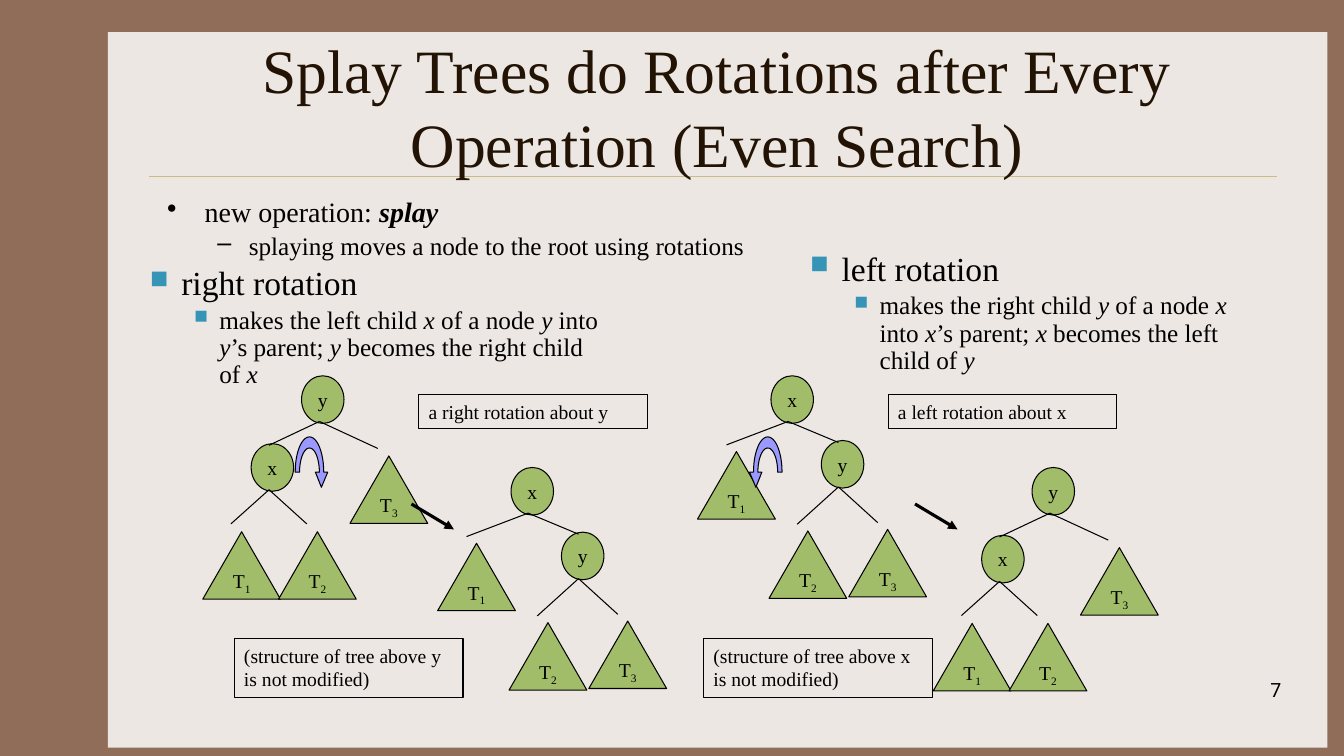
from math import cos, pi, sin

from lxml.etree import SubElement
from pptx import Presentation
from pptx.dml.color import RGBColor
from pptx.enum.shapes import MSO_CONNECTOR, MSO_SHAPE
from pptx.enum.text import MSO_ANCHOR, PP_ALIGN
from pptx.oxml.ns import qn
from pptx.util import Cm, Pt

SERIF = "Times New Roman"
BLACK, GREEN, BLUE, TEAL = "000000", "A1BD69", "9999FF", "3694B6"

# Tree parts in cm from the top left of the root: labels, then branches.
LEFT_HEAVY = {
    "nodes": [("y", 0, 0), ("x", -1.27, 1.71)],
    "subtrees": [("1", -2.49, 3.93), ("2", -0.58, 3.93), ("3", 1.22, 2.02)],
    "forks": [((0.45, 1.15), (-0.82, 1.75), (1.92, 1.83)),
              ((-0.82, 2.87), (-1.78, 3.73), (0.13, 3.73))],
}
RIGHT_HEAVY = {
    "nodes": [("x", 0, 0), ("y", 1.27, 1.63)],
    "subtrees": [("1", -1.85, 1.91), ("2", -0.05, 3.91), ("3", 1.96, 3.87)],
    "forks": [((0.43, 1.15), (-1.12, 1.74), (1.7, 1.68)),
              ((1.7, 2.8), (0.66, 3.74), (2.69, 3.7))],
}


def color(hex_string):
    return RGBColor.from_string(hex_string)


def style_font(paragraph, size, name=SERIF, hex_string=BLACK):
    paragraph.font.size = Pt(size)
    paragraph.font.name = name
    paragraph.font.color.rgb = color(hex_string)


def add_text(slide, left, top, width, height):
    text_frame = slide.shapes.add_textbox(Cm(left), Cm(top), Cm(width), Cm(height)).text_frame
    text_frame.word_wrap = True
    return text_frame


def add_line(slide, start, end, width=0.75, hex_string=BLACK):
    line = slide.shapes.add_connector(
        MSO_CONNECTOR.STRAIGHT, *(Cm(value) for value in (*start, *end)))
    line.line.width = Pt(width)
    line.line.color.rgb = color(hex_string)
    SubElement(line._element.spPr, qn("a:effectLst"))
    return line


def paint(shape, fill):
    shape.shadow.inherit = False
    if fill:
        shape.fill.solid()
        shape.fill.fore_color.rgb = color(fill)
    else:
        shape.fill.background()
    shape.line.color.rgb = color(BLACK)
    shape.line.width = Pt(0.75)


def add_shape(slide, kind, left, top, width, height, fill=None):
    shape = slide.shapes.add_shape(kind, Cm(left), Cm(top), Cm(width), Cm(height))
    paint(shape, fill)
    return shape


def add_bullet(paragraph, text, size, character, margin, indent, level=0,
               spacing=None, bullet_color=None, bold=False):
    """Fill a bulleted paragraph; words between asterisks become italic."""
    style_font(paragraph, size)
    paragraph.level = level
    paragraph.space_before = Pt(size * 0.2)
    if spacing:
        paragraph.line_spacing = spacing
    properties = paragraph._p.get_or_add_pPr()
    properties.set("marL", str(Cm(margin)))
    properties.set("indent", str(-Cm(indent)))
    bullet_parts = []
    if bullet_color:
        bullet = SubElement(properties, qn("a:buClr"))
        SubElement(bullet, qn("a:srgbClr"), val=bullet_color)
        bullet_parts += [bullet, SubElement(properties, qn("a:buSzPct"), val="75000")]
    bullet_parts.append(SubElement(properties, qn("a:buChar"), char=character))
    default_font = properties.find(qn("a:defRPr"))
    for part in bullet_parts:
        default_font.addprevious(part)
    for index, words in enumerate(text.split("*")):
        if words:
            run = paragraph.add_run()
            run.text = words
            if index % 2:
                run.font.italic = True
                run.font.bold = bold or None


def add_header(slide):
    panel = add_shape(slide, MSO_SHAPE.RECTANGLE, 2.72, 0.81, 30.73, 18.03, "EDE7E3")
    panel.line.fill.background()
    add_line(slide, (3.76, 4.45), (32.18, 4.45), 0.25, "CBBD83")
    title = add_text(slide, 3.96, 1.07, 28.22, 3.18)
    title.vertical_anchor = MSO_ANCHOR.MIDDLE
    paragraph = title.paragraphs[0]
    paragraph.text = "Splay Trees do Rotations after Every Operation (Even Search)"
    paragraph.alignment = PP_ALIGN.CENTER
    style_font(paragraph, 44, hex_string="221304")


def add_introduction(slide, left, top, width, height):
    text_frame = add_text(slide, left, top, width, height)
    add_bullet(text_frame.paragraphs[0], "new operation: *splay*", 20, "•",
               0.95, 0.95, spacing=0.9, bold=True)
    add_bullet(text_frame.add_paragraph(), "splaying moves a node to the root using rotations",
               18, "–", 2.06, 0.79, 1, 0.9)


def add_definition(slide, left, top, heading, text):
    text_frame = add_text(slide, left, top, 12.07, 3.38)
    add_bullet(text_frame.paragraphs[0], heading, 24, "■", 0.79, 0.79, bullet_color=TEAL)
    add_bullet(text_frame.add_paragraph(), text, 18, "■", 1.75, 0.64, 1, 0.9, TEAL)


def add_label(shape, letter, subscript=""):
    text_frame = shape.text_frame
    text_frame.word_wrap = False
    text_frame.vertical_anchor = MSO_ANCHOR.MIDDLE
    paragraph = text_frame.paragraphs[0]
    paragraph.alignment = PP_ALIGN.CENTER
    style_font(paragraph, 14)
    paragraph.add_run().text = letter
    if subscript:
        run = paragraph.add_run()
        run.text = subscript
        run._r.get_or_add_rPr().set("baseline", "-25000")


def add_tree(slide, left, top, tree):
    for letter, x, y in tree["nodes"]:
        add_label(add_shape(slide, MSO_SHAPE.OVAL, left + x, top + y, 1.07, 1.2, GREEN), letter)
    for number, x, y in tree["subtrees"]:
        triangle = add_shape(slide, MSO_SHAPE.ISOSCELES_TRIANGLE,
                             left + x, top + y, 1.96, 1.7, GREEN)
        add_label(triangle, "T", number)
    for (x, y), *ends in tree["forks"]:
        for end_x, end_y in ends:
            add_line(slide, (left + x, top + y), (left + end_x, top + end_y))


def add_turn_arrow(slide, center, base, direction):
    """Arch whose head points down on the right (1) or on the left (-1)."""
    angles = [pi * step / 24 for step in range(25)]
    inner = [(0.25 * cos(angle), -0.61 * sin(angle)) for angle in angles]
    outer = [(-0.36 * cos(angle), -0.89 * sin(angle)) for angle in angles]
    head = [(0.46, 0), (0.3, 0.38), (0.15, 0)]
    points = [(Cm(center + direction * x), Cm(base + y)) for x, y in inner + outer + head]
    builder = slide.shapes.build_freeform(*points[0])
    builder.add_line_segments(points[1:], close=True)
    paint(builder.convert_to_shape(), BLUE)


def add_note(slide, left, top, height, text):
    box = add_shape(slide, MSO_SHAPE.RECTANGLE, left, top, 5.77, height)
    box.text_frame.vertical_anchor = MSO_ANCHOR.TOP
    paragraph = box.text_frame.paragraphs[0]
    paragraph.text = text
    paragraph.alignment = PP_ALIGN.LEFT
    style_font(paragraph, 14)


def add_rotation(slide, left, top, before, after, after_x, arrow_x, turn, side, pivot):
    """Show a tree before and after a rotation, with its notes."""
    add_tree(slide, left + 2.49, top, before)
    add_tree(slide, left + after_x, top + 2.31, after)
    add_turn_arrow(slide, left + turn[0], top + 2.43, turn[1])
    arrow = add_line(slide, (left + arrow_x, top + 3.23), (left + arrow_x + 1.07, top + 3.87), 2.25)
    SubElement(arrow.line._get_or_add_ln(), qn("a:tailEnd"), type="triangle")
    add_note(slide, left + 0.79, top + 6.63, 1.47,
             f"(structure of tree above {pivot} is not modified)")
    add_note(slide, left + 5.44, top + 0.48, 0.86, f"a {side} rotation about {pivot}")


def add_slide_number(slide, left, top, width, height):
    paragraph = add_text(slide, left, top, width, height).paragraphs[0]
    paragraph.text = "7"
    paragraph.alignment = PP_ALIGN.RIGHT
    style_font(paragraph, 14, "Roboto")


def main():
    presentation = Presentation()
    presentation.slide_width, presentation.slide_height = Cm(33.87), Cm(19.05)
    slide = presentation.slides.add_slide(presentation.slide_layouts[6])
    slide.background.fill.solid()
    slide.background.fill.fore_color.rgb = color("906D58")
    add_header(slide)
    add_introduction(slide, 3.96, 4.88, 28.22, 11.43)
    add_slide_number(slide, 25.48, 16.97, 7.06, 1.27)
    add_definition(slide, 3.53, 6.48, "right rotation",
                   "makes the left child *x* of a node *y* into *y*’s parent; "
                   "*y* becomes the right child of *x*")
    add_definition(slide, 20.17, 6.12, "left rotation",
                   "makes the right child *y* of a node *x* into *x*’s parent; "
                   "*x* becomes the left child of *y*")
    add_rotation(slide, 5.11, 9.47, LEFT_HEAVY, RIGHT_HEAVY, 7.77, 5.26, (2.69, 1), "right", "y")
    add_rotation(slide, 16.94, 9.47, RIGHT_HEAVY, LEFT_HEAVY, 9.07, 6.12, (2.41, -1), "left", "x")
    presentation.save("out.pptx")


if __name__ == "__main__":
    main()
